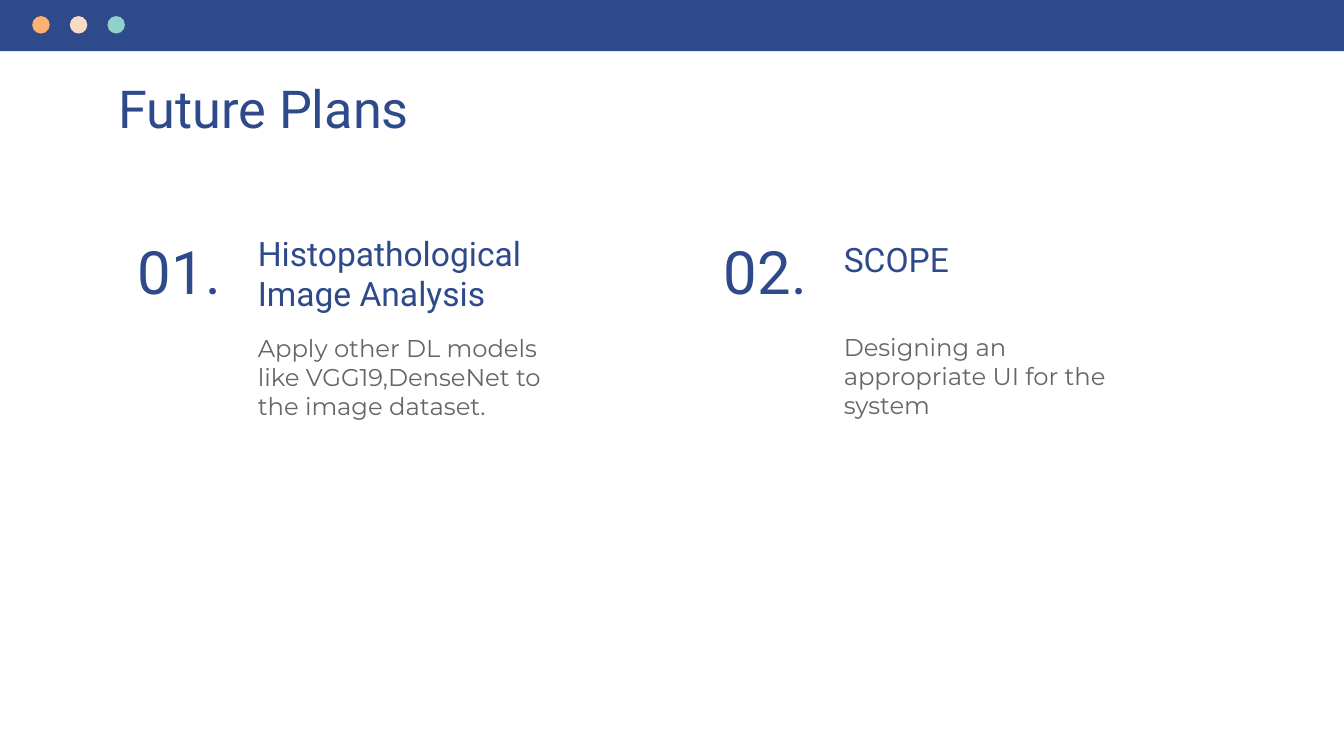
from typing import NamedTuple

from pptx import Presentation
from pptx.dml.color import RGBColor
from pptx.enum.shapes import MSO_SHAPE
from pptx.enum.text import MSO_ANCHOR, MSO_AUTO_SIZE, PP_ALIGN
from pptx.util import Inches, Pt

COLORS = {
    "navy": "2F4A8A",
    "gray": "666666",
    "orange": "FFB172",
    "cream": "F8DBC4",
    "teal": "90D1CB",
}


class Box(NamedTuple):
    left: float
    top: float
    width: float
    height: float


class Style(NamedTuple):
    font: str
    size: int
    color: str
    align: PP_ALIGN = PP_ALIGN.LEFT
    anchor: MSO_ANCHOR = MSO_ANCHOR.TOP


class Plan(NamedTuple):
    left: float
    number: str
    heading: str
    heading_top: float
    heading_width: float
    body: str
    body_top: float
    body_height: float


TITLE = Style("Roboto", 28, "navy")
NUMBER = Style("Roboto", 32, "navy", PP_ALIGN.CENTER, MSO_ANCHOR.BOTTOM)
HEADING = Style("Roboto", 18, "navy")
BODY = Style("Montserrat", 13, "gray")

PLANS = [
    Plan(0.84, "01.", "Histopathological Image Analysis", 1.63, 2.8,
         "Apply other DL models like VGG19,DenseNet to the image dataset.", 2.38, 0.38),
    Plan(5.2, "02.", "SCOPE", 1.68, 2.98,
         "Designing an appropriate UI for the system", 2.37, 0.64),
]


def write_text(sp, text: str, style: Style) -> None:
    tf = sp.text_frame
    tf.word_wrap = True
    tf.auto_size = MSO_AUTO_SIZE.NONE
    tf.vertical_anchor = style.anchor
    tf.margin_left = tf.margin_right = Inches(0.1)
    tf.margin_top = tf.margin_bottom = Inches(0.1)
    p = tf.paragraphs[0]
    p.text = text
    p.alignment = style.align
    p.font.name = style.font
    p.font.size = Pt(style.size)
    p.font.color.rgb = RGBColor.from_string(COLORS[style.color])


def add_text(s, box: Box, text: str, style: Style) -> None:
    sp = s.shapes.add_textbox(*map(Inches, box))
    write_text(sp, text, style)


def add_filled(s, kind: MSO_SHAPE, box: Box, color: str) -> None:
    sp = s.shapes.add_shape(kind, *map(Inches, box))
    sp.shadow.inherit = False
    sp.fill.solid()
    sp.fill.fore_color.rgb = RGBColor.from_string(COLORS[color])
    sp.line.fill.background()


def add_plan(s, plan: Plan) -> None:
    text_left = plan.left + 0.98
    add_text(s, Box(text_left, plan.heading_top, plan.heading_width, 0.51),
             plan.heading, HEADING)
    add_text(s, Box(plan.left, 1.74, 0.99, 0.64), plan.number, NUMBER)
    add_text(s, Box(text_left, plan.body_top, 2.49, plan.body_height), plan.body, BODY)


def main() -> None:
    prs = Presentation()
    prs.slide_width = Inches(10)
    prs.slide_height = prs.slide_width * 9 // 16
    s = prs.slides.add_slide(prs.slide_layouts[5])

    title = s.shapes.title
    title.left, title.top, title.width, title.height = map(
        Inches, Box(0.78, 0.47, 8.44, 0.51))
    write_text(title, "Future Plans", TITLE)

    for plan in PLANS:
        add_plan(s, plan)

    add_filled(s, MSO_SHAPE.RECTANGLE, Box(0, 0, 10, 0.38), "navy")
    for i, color in enumerate(["orange", "cream", "teal"]):
        add_filled(s, MSO_SHAPE.OVAL, Box(0.24 + 0.28 * i, 0.12, 0.13, 0.13), color)

    prs.save("out.pptx")


if __name__ == "__main__":
    main()
